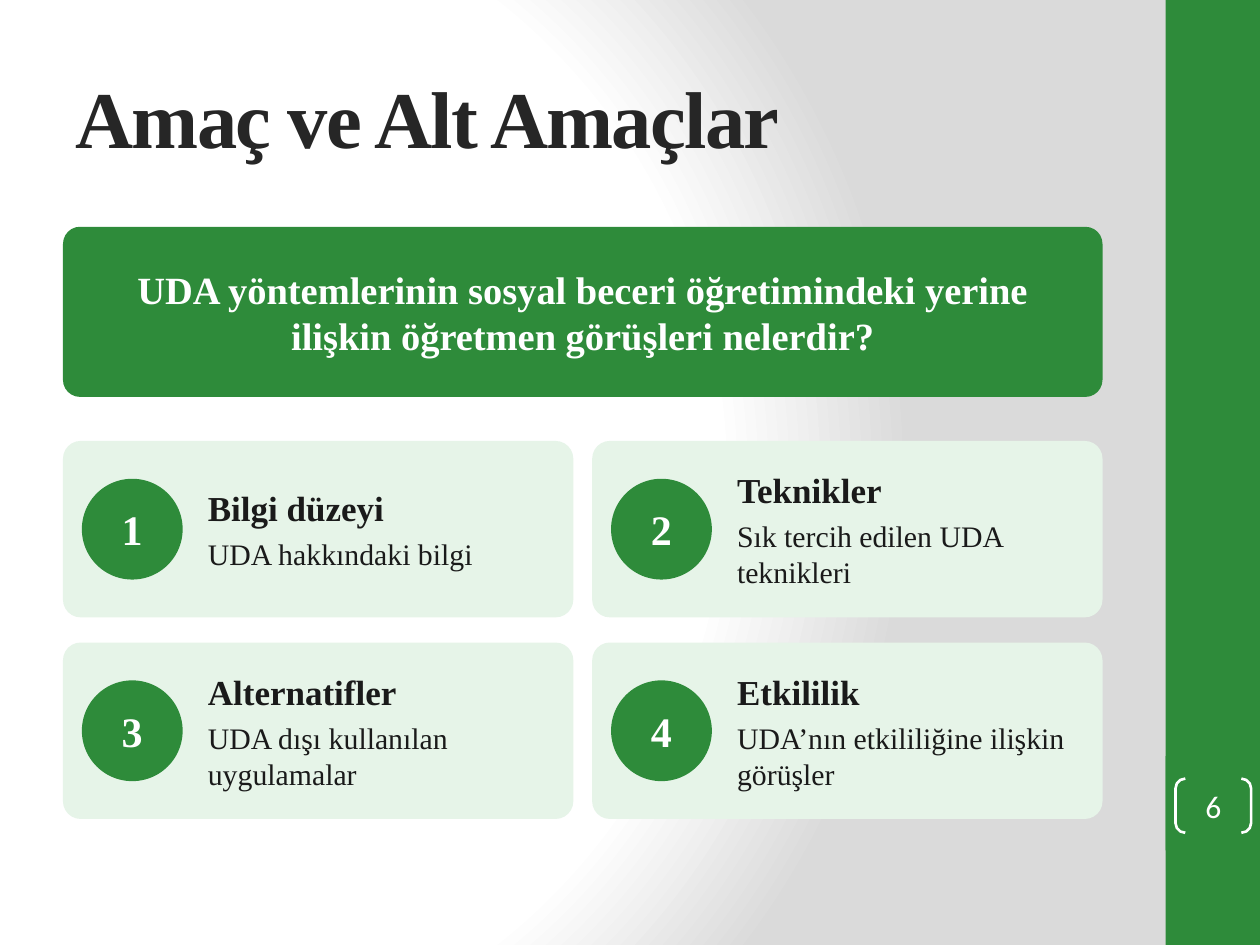
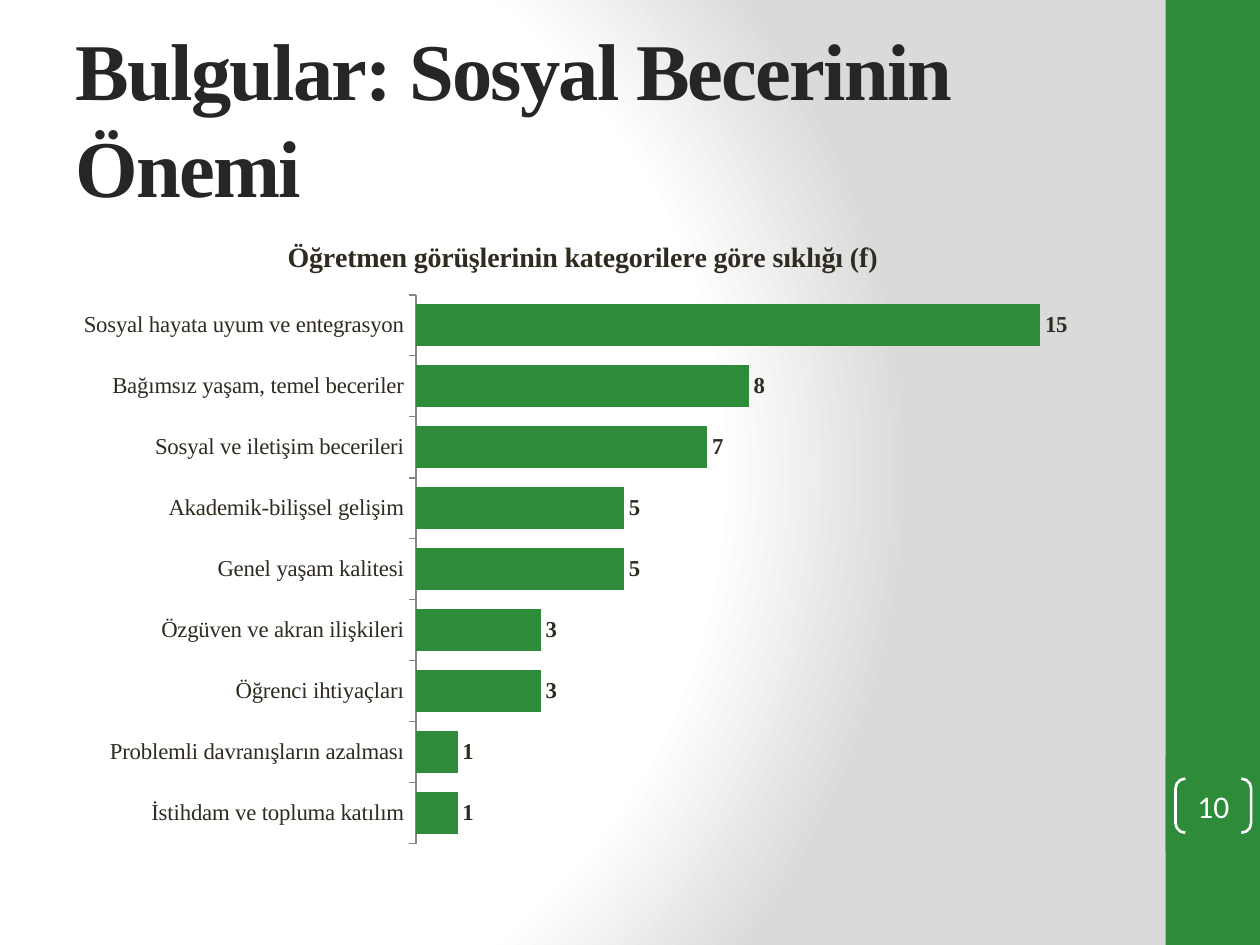
from lxml import etree
from pptx import Presentation
from pptx.chart.data import CategoryChartData
from pptx.dml.color import RGBColor
from pptx.enum.chart import XL_CHART_TYPE, XL_LABEL_POSITION, XL_TICK_MARK
from pptx.enum.shapes import MSO_SHAPE
from pptx.enum.text import MSO_ANCHOR, MSO_AUTO_SIZE, PP_ALIGN
from pptx.oxml import parse_xml
from pptx.oxml.ns import nsdecls
from pptx.util import Pt

GOAL_TITLE = "Amaç ve Alt Amaçlar"
GOAL_PAGE = "6"
MAIN_QUESTION = "UDA yöntemlerinin sosyal beceri öğretimindeki yerine ilişkin öğretmen görüşleri nelerdir?"
SUB_GOALS = [
    ("Bilgi düzeyi", "UDA hakkındaki bilgi"),
    ("Teknikler", "Sık tercih edilen UDA teknikleri"),
    ("Alternatifler", "UDA dışı kullanılan uygulamalar"),
    ("Etkililik", "UDA’nın etkililiğine ilişkin görüşler"),
]
FINDINGS_TITLE = "Bulgular: Sosyal Becerinin Önemi"
FINDINGS_PAGE = "10"
FREQUENCY_TITLE = "Öğretmen görüşlerinin kategorilere göre sıklığı (f)"
FREQUENCIES = [
    ("Sosyal hayata uyum ve entegrasyon", 15),
    ("Bağımsız yaşam, temel beceriler", 8),
    ("Sosyal ve iletişim becerileri", 7),
    ("Akademik-bilişsel gelişim", 5),
    ("Genel yaşam kalitesi", 5),
    ("Özgüven ve akran ilişkileri", 3),
    ("Öğrenci ihtiyaçları", 3),
    ("Problemli davranışların azalması", 1),
    ("İstihdam ve topluma katılım", 1),
]

GREEN = RGBColor(0x2E, 0x8B, 0x3A)
PALE_GREEN = RGBColor(0xE6, 0xF4, 0xE8)
WHITE = RGBColor(0xFF, 0xFF, 0xFF)
TITLE_INK = RGBColor(0x26, 0x26, 0x26)
CARD_INK = RGBColor(0x1A, 0x1A, 0x1A)
CHART_INK = RGBColor(0x2F, 0x2B, 0x20)
AXIS_GREY = RGBColor(0x86, 0x86, 0x86)
BACKDROP_EDGE = RGBColor(0xDA, 0xDA, 0xDA)
SERIF = "Times New Roman"
SANS = "Calibri"

RECT = MSO_SHAPE.RECTANGLE
ROUNDED = MSO_SHAPE.ROUNDED_RECTANGLE
OVAL = MSO_SHAPE.OVAL
BRACKETS = MSO_SHAPE.DOUBLE_BRACKET
MIDDLE = MSO_ANCHOR.MIDDLE
NO_AUTOFIT = MSO_AUTO_SIZE.NONE
LEFT = PP_ALIGN.LEFT
CENTER = PP_ALIGN.CENTER
BAR = XL_CHART_TYPE.BAR_CLUSTERED
OUTSIDE_END = XL_LABEL_POSITION.OUTSIDE_END
TICK_OUT = XL_TICK_MARK.OUTSIDE
TICK_NONE = XL_TICK_MARK.NONE

SLIDE_W, SLIDE_H = 720, 540
BAND_LEFT, BAND_W = 666, 54
MARGIN, CONTENT_W = 36, 594
CARD_TOP, CARD_W, CARD_H = 252, 291.6, 100.8
CARD_STEP_X, CARD_STEP_Y = CONTENT_W - CARD_W, 115.2
BADGE = 57.6


def box(left, top, width, height):
    return Pt(left), Pt(top), Pt(width), Pt(height)


def style_font(font, size, color, bold=False, name=SERIF):
    font.name, font.size, font.bold = name, Pt(size), bold
    font.color.rgb = color


def add_shape(slide, preset, area, fill=None, adjust=None):
    shape = slide.shapes.add_shape(preset, *box(*area))
    shape.shadow.inherit = False
    if fill is None:
        shape.fill.background()
    else:
        shape.fill.solid()
        shape.fill.fore_color.rgb = fill
    shape.line.fill.background()
    if adjust is not None:
        shape.adjustments[0] = adjust
    return shape


def write(shape, lines, align=LEFT, inset_x=0, inset_y=0, after=0):
    frame = shape.text_frame
    frame.word_wrap = True
    frame.vertical_anchor = MIDDLE
    frame.margin_left = frame.margin_right = Pt(inset_x)
    frame.margin_top = frame.margin_bottom = Pt(inset_y)
    for index, (text, *style) in enumerate(lines):
        paragraph = frame.add_paragraph() if index else frame.paragraphs[0]
        paragraph.alignment = align
        paragraph.space_after = Pt(after)
        run = paragraph.add_run()
        run.text = text
        style_font(run.font, *style)


def set_backdrop(master):
    fill = master.background.fill
    fill.solid()
    solid = master.element.find(".//{*}bgPr/{*}solidFill")
    stops = "".join(
        f'<a:gs pos="{position * 1000}"><a:srgbClr val="{color}"/></a:gs>'
        for position, color in ((0, WHITE), (75, WHITE), (100, BACKDROP_EDGE))
    )
    gradient = parse_xml(
        f'<a:gradFill {nsdecls("a")} rotWithShape="1"><a:gsLst>{stops}</a:gsLst>'
        '<a:path path="circle"><a:fillToRect l="20000" t="50000" r="100000" b="50000"/>'
        "</a:path></a:gradFill>"
    )
    solid.getparent().replace(solid, gradient)


def add_slide(prs, title, page):
    slide = prs.slides.add_slide(prs.slide_layouts[5])
    add_shape(slide, RECT, (BAND_LEFT, 0, BAND_W, SLIDE_H), GREEN)
    add_shape(slide, RECT, (BAND_LEFT, 432, BAND_W, BAND_W), GREEN)

    heading = slide.shapes.title
    heading.left, heading.top, heading.width, heading.height = box(MARGIN, 21.6, 600, 90)
    heading.text_frame.auto_size = NO_AUTOFIT
    write(heading, [(title, 46, TITLE_INK, True)], inset_x=7.2, inset_y=3.6)
    heading.text_frame.paragraphs[0].runs[0].font._element.set("spc", "-100")

    number = add_shape(slide, BRACKETS, (671.76, 444.96, 43.2, 30.96), adjust=0.18)
    number.line.color.rgb = WHITE
    number.line.width = Pt(1.5)
    write(number, [(page, 18, WHITE, False, SANS)], CENTER)
    return slide


def add_card(slide, index, name, detail):
    row, column = divmod(index, 2)
    left = MARGIN + column * CARD_STEP_X
    top = CARD_TOP + row * CARD_STEP_Y
    add_shape(slide, ROUNDED, (left, top, CARD_W, CARD_H), PALE_GREEN, 0.1)
    badge = add_shape(slide, OVAL, (left + 10.8, top + (CARD_H - BADGE) / 2, BADGE, BADGE), GREEN)
    write(badge, [(str(index + 1), 24, WHITE, True)], CENTER, 1.44, 4.32, 4)
    label = slide.shapes.add_textbox(*box(left + 79.2, top + 7.2, 208.8, 86.4))
    lines = [(name, 20, CARD_INK, True), (detail, 17, CARD_INK)]
    write(label, lines, LEFT, 3.6, 4.32, 4)


def add_frequency_chart(slide):
    data = CategoryChartData()
    data.categories = [category for category, _ in FREQUENCIES]
    data.add_series("Series 1", [count for _, count in FREQUENCIES])
    chart = slide.shapes.add_chart(BAR, *box(MARGIN, 122.4, CONTENT_W, 367.2), data).chart
    style_font(chart.font, 13, CHART_INK)
    chart.has_legend = False
    chart.has_title = True
    run = chart.chart_title.text_frame.paragraphs[0].add_run()
    run.text = FREQUENCY_TITLE
    style_font(run.font, 16, CHART_INK, True)
    chart.chart_title.include_in_layout = False

    categories = chart.category_axis
    categories.reverse_order = True
    categories.major_tick_mark = TICK_OUT
    categories.minor_tick_mark = TICK_NONE
    categories.format.line.color.rgb = AXIS_GREY
    chart.value_axis.visible = False
    chart.value_axis.has_major_gridlines = False
    chart.value_axis.minimum_scale = 0

    plot = chart.plots[0]
    plot.gap_width = 45
    plot.vary_by_categories = False
    bars = plot.series[0]
    bars.format.fill.solid()
    bars.format.fill.fore_color.rgb = GREEN
    labels = bars.data_labels
    labels.show_value = True
    labels.position = OUTSIDE_END
    style_font(labels.font, 13, CHART_INK, True)


def main():
    prs = Presentation()
    prs.slide_width, prs.slide_height = Pt(SLIDE_W), Pt(SLIDE_H)
    set_backdrop(prs.slide_master)

    goals = add_slide(prs, GOAL_TITLE, GOAL_PAGE)
    question = add_shape(goals, ROUNDED, (MARGIN, 129.6, CONTENT_W, 97.2), GREEN, 0.1)
    write(question, [(MAIN_QUESTION, 22, WHITE, True)], CENTER, 8.64, 4.32, 4)
    for index, (name, detail) in enumerate(SUB_GOALS):
        add_card(goals, index, name, detail)

    findings = add_slide(prs, FINDINGS_TITLE, FINDINGS_PAGE)
    add_frequency_chart(findings)
    prs.save("out.pptx")


if __name__ == "__main__":
    main()
